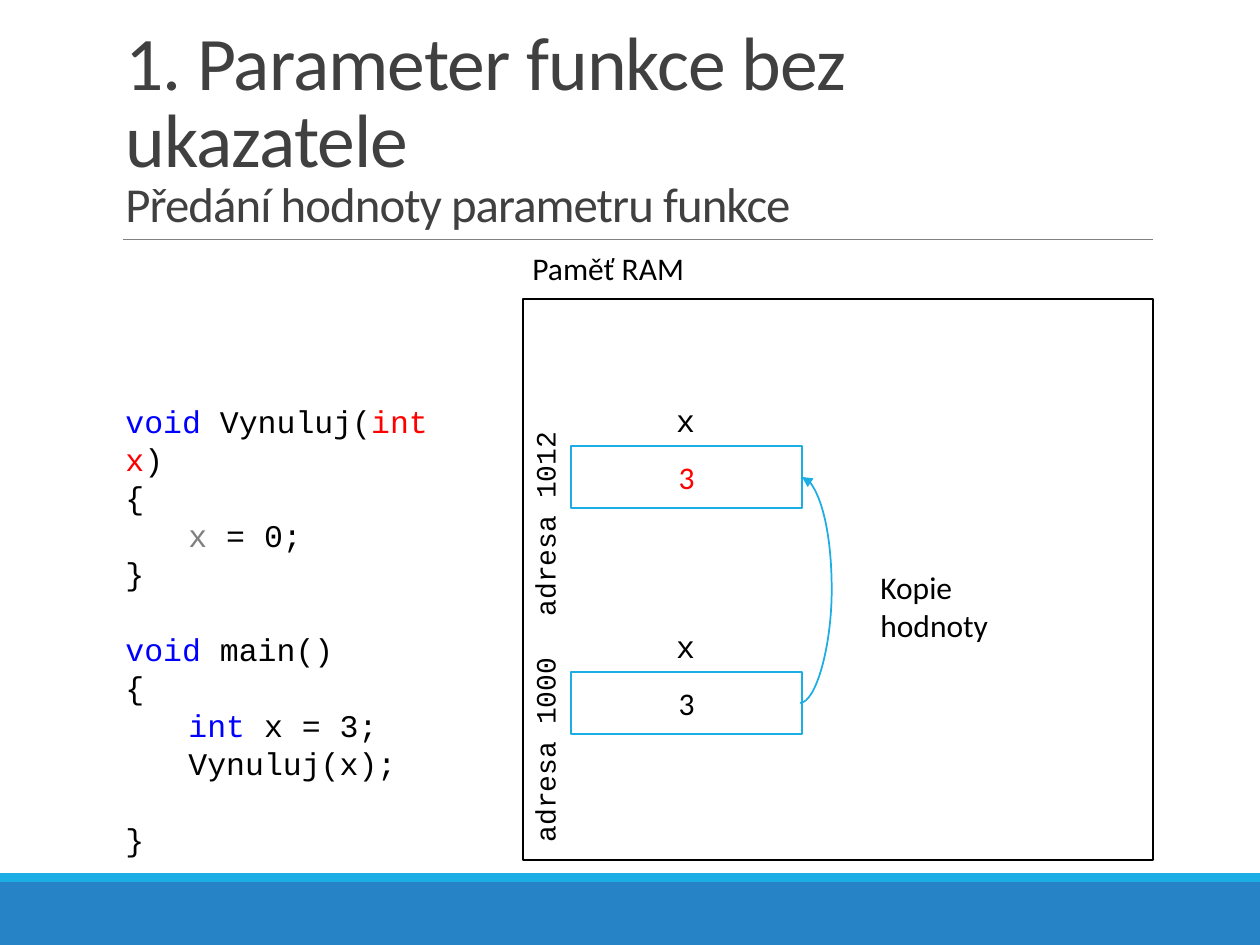
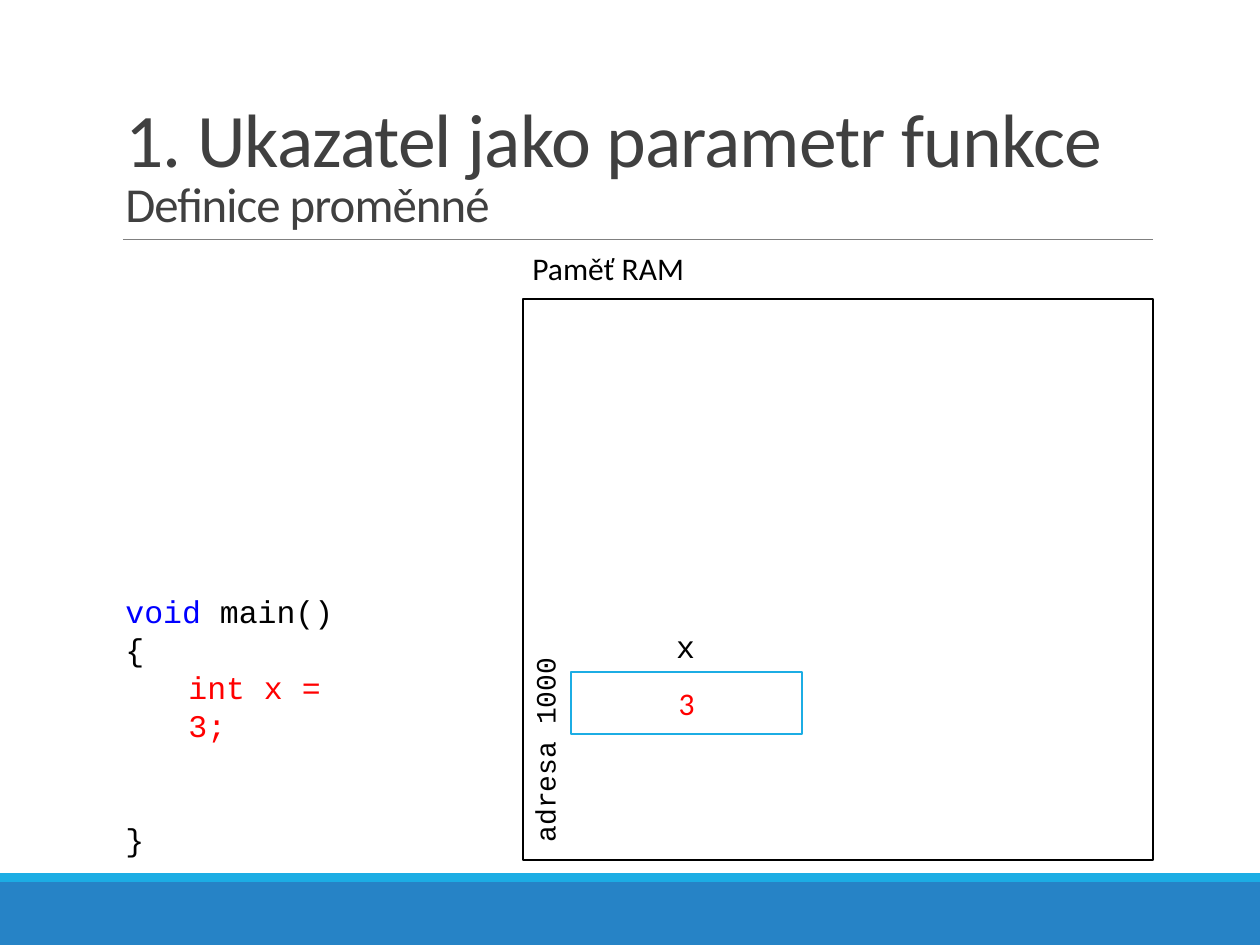
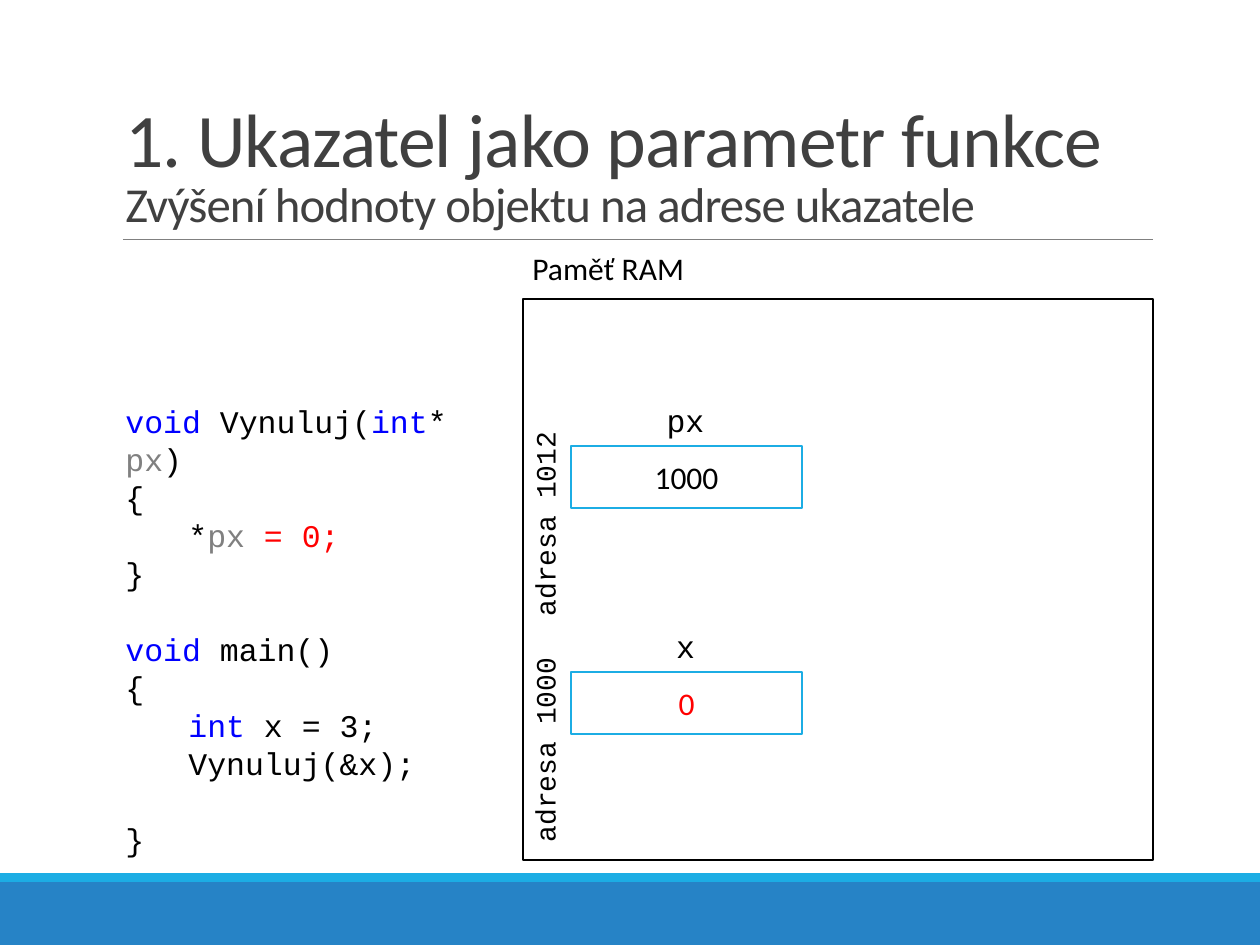
from lxml import etree
from pptx import Presentation
from pptx import util as u
from pptx.dml.color import RGBColor
from pptx.enum import shapes, text
from pptx.oxml.ns import qn

BLUE, CYAN, GREY, TITLE = "2683C6", "1CADE4", "808080", "404040"
BLACK, WHITE, RED, KEYWORD = "000000", "FFFFFF", "FF0000", "0000FF"
SANS, MONO = "Calibri", "Courier New"
LEFT, CENTER, RIGHT = text.PP_ALIGN.LEFT, text.PP_ALIGN.CENTER, text.PP_ALIGN.RIGHT
CODE_X, CODE_BOTTOM, CODE_PITCH = 113, 864, 38
CODE_LEADING = 21.7  # points per code line
CODE_INDENT = 63
FRAME = (523, 299, 630, 561)
UPPER, LOWER = 147, 373  # cell tops within the memory frame


def px(n):
    return u.Emu(round(n * 914400 / 126))


def rgb(color):
    return RGBColor.from_string(color)


def add_run(p, content, size, color=BLACK, font=SANS):
    r = p.add_run()
    r.text = content
    r.font.size, r.font.name = u.Pt(size), font
    r.font.color.rgb = rgb(color)
    return r


def add_rect(s, x, y, w, h, fill, line=None):
    sp = s.shapes.add_shape(shapes.MSO_SHAPE.RECTANGLE, px(x), px(y), px(w), px(h))
    sp.shadow.inherit = False
    sp.fill.solid()
    sp.fill.fore_color.rgb = rgb(fill)
    if line:
        sp.line.color.rgb = rgb(line)
        sp.line.width = u.Pt(1.25)
    else:
        sp.line.fill.background()
    return sp


def add_line(s, kind, x1, y1, x2, y2, color, width):
    cx = s.shapes.add_connector(kind, px(x1), px(y1), px(x2), px(y2))
    cx.line.color.rgb = rgb(color)
    cx.line.width = u.Pt(width)
    etree.SubElement(cx._element.spPr, qn("a:effectLst"))
    return cx


def add_box(s, x, y, w, h):
    sp = s.shapes.add_textbox(px(x), px(y), px(w), px(h))
    sp.text_frame.word_wrap = True
    return sp


def add_label(s, x, y, w, h, content, size=18, font=SANS, align=LEFT):
    sp = add_box(s, x, y, w, h)
    p = sp.text_frame.paragraphs[0]
    p.alignment = align
    add_run(p, content, size, font=font)
    return sp


def base_slide(prs, title, subtitle):
    s = prs.slides.add_slide(prs.slide_layouts[6])
    # Footer bands and title rule
    add_rect(s, 0, 882, 1260, 63, BLUE)
    add_rect(s, 0, 873, 1260, 9, CYAN)
    add_line(s, shapes.MSO_CONNECTOR.STRAIGHT, 123, 239, 1153, 239, GREY, 0.5)
    # Title and subtitle
    tf = add_box(s, 113, 39, 1040, 200).text_frame
    tf.vertical_anchor = text.MSO_ANCHOR.BOTTOM
    p = tf.paragraphs[0]
    p.line_spacing = 0.85
    heading = add_run(p, title, 43.2, TITLE)
    p.add_line_break()
    for r in (heading, add_run(p, subtitle, 27.9, TITLE)):
        r.font._element.set("spc", "-50")
    return s


def code_block(s, width, rows, lines):
    """Each line is (indent level, empty lines above, runs)."""
    h = rows * CODE_PITCH + 12
    tf = add_box(s, CODE_X, CODE_BOTTOM - h, width, h).text_frame
    for i, (level, gap, runs) in enumerate(lines):
        p = tf.add_paragraph() if i else tf.paragraphs[0]
        p.line_spacing = u.Pt(CODE_LEADING)
        p.space_before = u.Pt(gap * CODE_LEADING)
        if level:
            p._p.get_or_add_pPr().set("marL", str(px(level * CODE_INDENT)))
        for content, color in runs:
            add_run(p, content, 18, color, MONO)


def memory_cell(s, x, y, name, value, color, address):
    sp = add_rect(s, x, y, 231, 62, WHITE, CYAN)
    tf = sp.text_frame
    tf.vertical_anchor = text.MSO_ANCHOR.MIDDLE
    p = tf.paragraphs[0]
    p.alignment = CENTER
    add_run(p, value, 18, color)
    add_label(s, x, y - 51, 229, 51, name, font=MONO, align=CENTER)
    add_label(s, x - 140, y + 64, 228, 47, f"adresa {address}", 16, MONO, RIGHT).rotation = 270


def memory(s, box, cells):
    x, y, w, h = box
    add_rect(s, x, y, w, h, WHITE, BLACK)
    add_label(s, x - 3, y - 56, 234, 51, "Paměť RAM")
    for top, *cell in cells:
        memory_cell(s, x + 48, y + top, *cell)


def copy_arrow(s, box):
    x, y = box[:2]
    cx = add_line(s, shapes.MSO_CONNECTOR.CURVE, x + 277, y + LOWER + 31,
                  x + 279, y + UPPER + 31, CYAN, 1)
    # Bow the curve out to the right of the cells
    guides = cx._element.spPr.find(qn("a:prstGeom")).get_or_add_avLst()
    etree.SubElement(guides, qn("a:gd"), name="adj1", fmla="val 1600000")
    etree.SubElement(cx.line._get_or_add_ln(), qn("a:tailEnd"), type="triangle")
    add_label(s, x + 345, y + 263, 139, 89, "Kopie hodnoty")


def function(signature, body):
    return [(0, 0, [("void ", KEYWORD), ("Vynuluj(", BLACK), *signature, (")", BLACK)]),
            (0, 0, [("{", BLACK)]),
            (1, 0, body),
            (0, 0, [("}", BLACK)])]


def main_code(body, gap_above, gap_below):
    return [(0, gap_above, [("void ", KEYWORD), ("main()", BLACK)]),
            (0, 0, [("{", BLACK)]),
            *[(1, 0, runs) for runs in body],
            (0, gap_below, [("}", BLACK)])]


def main():
    prs = Presentation()
    prs.slide_width, prs.slide_height = px(1260), px(945)
    declare_x = [("int", KEYWORD), (" x = 3;", BLACK)]
    pointer_title = "1. Ukazatel jako parametr funkce"

    # Passing by value
    s = base_slide(prs, "1. Parameter funkce bez ukazatele", "Předání hodnoty parametru funkce")
    code_block(s, 357, 12,
               function([("int x", RED)], [("x ", GREY), ("= 0;", BLACK)])
               + main_code([declare_x, [("Vynuluj(x);", BLACK)]], 1, 1))
    memory(s, FRAME, [(LOWER, "x", "3", BLACK, 1000), (UPPER, "x", "3", RED, 1012)])
    copy_arrow(s, FRAME)

    # Variable definition
    s = base_slide(prs, pointer_title, "Definice proměnné")
    code_block(s, 263, 7, main_code([[("int x = 3;", RED)]], 0, 2))
    memory(s, FRAME, [(LOWER, "x", "3", RED, 1000)])

    # Writing through the pointer
    s = base_slide(prs, pointer_title, "Zvýšení hodnoty objektu na adrese ukazatele")
    code_block(s, 392, 12,
               function([("int", KEYWORD), ("* ", BLACK), ("px", GREY)],
                        [("*", BLACK), ("px ", GREY), ("= 0;", RED)])
               + main_code([declare_x, [("Vynuluj(&x);", BLACK)]], 1, 1))
    memory(s, FRAME, [(LOWER, "x", "0", RED, 1000), (UPPER, "px", "1000", BLACK, 1012)])

    prs.save("out.pptx")


if __name__ == "__main__":
    main()
